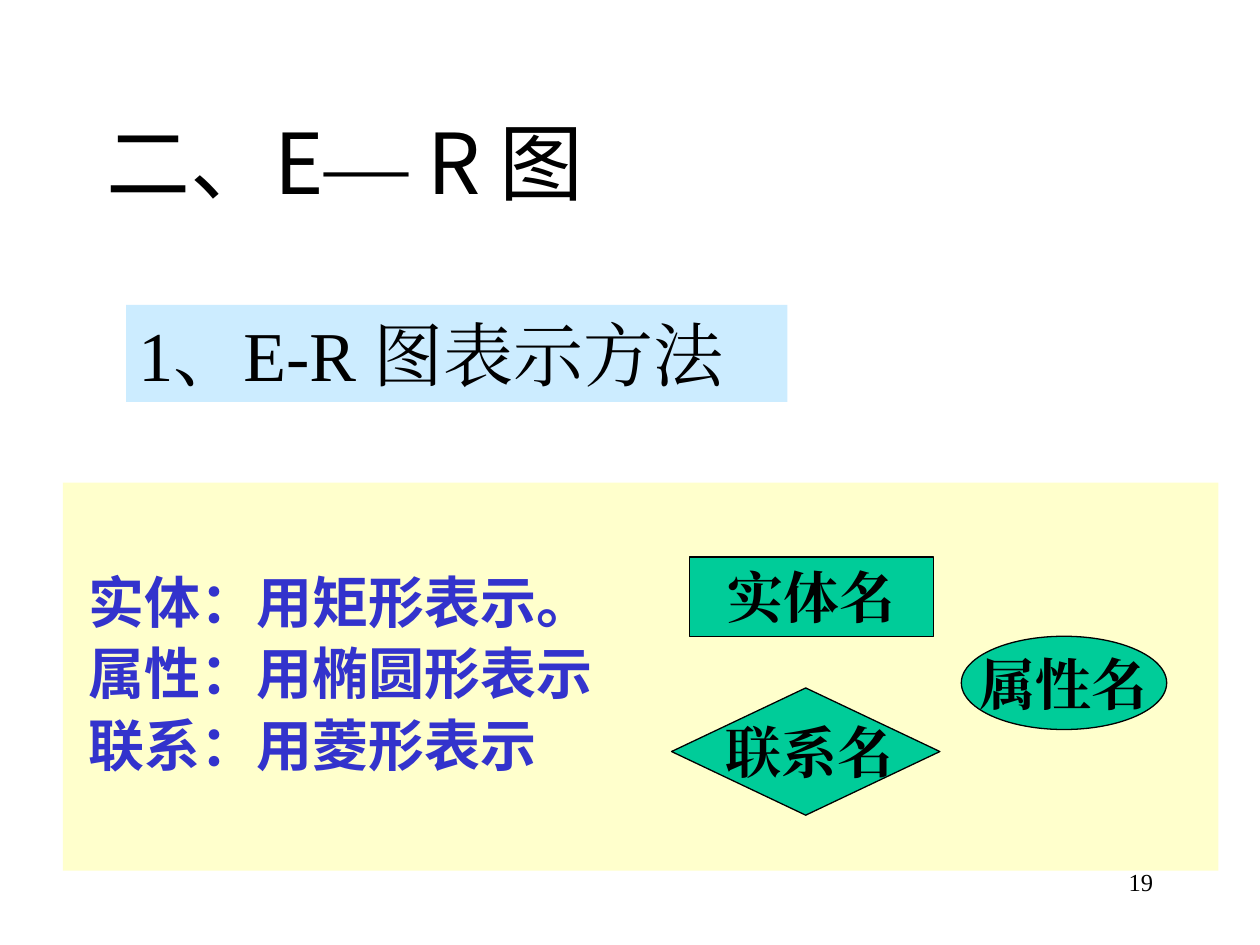
from dataclasses import dataclass, field
from typing import Optional

from lxml.etree import SubElement
from pptx import Presentation
from pptx.dml.color import RGBColor
from pptx.enum.shapes import MSO_SHAPE
from pptx.enum.text import MSO_ANCHOR, PP_ALIGN
from pptx.oxml.ns import qn
from pptx.util import Emu, Pt

EMU_PER_PX = 9144
SERIF = "Times New Roman"
SANS = "Noto Sans CJK SC"
BLACK, BLUE, GREEN = "000000", "3333CC", "00CC99"


@dataclass
class Run:
    text: str
    font: str = SERIF


@dataclass
class Block:
    left: int
    top: int
    width: int
    height: int
    paragraphs: list[list[Run]]
    size: int
    color: str = BLACK
    bold: bool = False
    geometry: MSO_SHAPE = MSO_SHAPE.RECTANGLE
    fill: Optional[str] = None
    line: Optional[str] = None
    frame_format: dict = field(default_factory=dict)
    paragraph_format: dict = field(default_factory=dict)


def px(length: int) -> Emu:
    return Emu(length * EMU_PER_PX)


def rgb(color: str) -> RGBColor:
    return RGBColor.from_string(color)


def apply_format(target, values: dict) -> None:
    for name, value in values.items():
        setattr(target, name, value)


def add_run(paragraph, part: Run, block: Block) -> None:
    run = paragraph.add_run()
    run.text = part.text
    apply_format(run.font, {"name": part.font, "size": Pt(block.size), "bold": block.bold})
    run.font.color.rgb = rgb(block.color)
    east_asian = SubElement(run.font._element, qn("a:ea"))
    east_asian.set("typeface", part.font)


def draw_block(slide, block: Block) -> None:
    box = tuple(px(length) for length in (block.left, block.top, block.width, block.height))
    if block.fill:
        shape = slide.shapes.add_shape(block.geometry, *box)
        shape.shadow.inherit = False
        shape.fill.solid()
        shape.fill.fore_color.rgb = rgb(block.fill)
        if block.line:
            shape.line.color.rgb = rgb(block.line)
            shape.line.width = Pt(0.75)
        else:
            shape.line.fill.background()
    else:
        shape = slide.shapes.add_textbox(*box)
    frame = shape.text_frame
    apply_format(frame, {"word_wrap": True, "vertical_anchor": MSO_ANCHOR.TOP, **block.frame_format})
    for index, parts in enumerate(block.paragraphs):
        paragraph = frame.add_paragraph() if index else frame.paragraphs[0]
        apply_format(paragraph, {"alignment": PP_ALIGN.LEFT, **block.paragraph_format})
        for part in parts:
            add_run(paragraph, part, block)


def symbol(left: int, top: int, width: int, height: int, label: str,
           geometry: MSO_SHAPE, left_margin: int = 10) -> Block:
    return Block(
        left, top, width, height, [[Run(label)]], 32, bold=True,
        geometry=geometry, fill=GREEN, line=BLACK,
        frame_format={"word_wrap": False, "vertical_anchor": MSO_ANCHOR.MIDDLE,
                      "margin_left": px(left_margin)},
        paragraph_format={"alignment": PP_ALIGN.CENTER},
    )


RULES = ["实体：用矩形表示。", "属性：用椭圆形表示", "联系：用菱形表示"]

BLOCKS = [
    Block(717, 683, 208, 50, [[Run("19")]], 14,
          paragraph_format={"alignment": PP_ALIGN.RIGHT}),
    Block(50, 383, 917, 308, [[Run(rule, SANS)] for rule in RULES], 32, BLUE, True,
          fill="FFFFCC",
          frame_format={"margin_left": px(20), "margin_top": px(64)},
          paragraph_format={"line_spacing": Pt(40.8)}),
    symbol(547, 442, 194, 63, "实体名", MSO_SHAPE.RECTANGLE),
    symbol(763, 505, 163, 74, "属性名", MSO_SHAPE.OVAL),
    symbol(533, 546, 213, 101, "联系名", MSO_SHAPE.DIAMOND, left_margin=16),
    Block(75, 83, 483, 90, [[Run("二、E", SANS), Run("—"), Run(" R 图", SANS)]], 48),
    Block(100, 242, 525, 77, [[Run("1、E-R 图表示方法")]], 40, fill="CCECFF"),
]


def main() -> None:
    presentation = Presentation()
    apply_format(presentation, {"slide_width": px(1000), "slide_height": px(750)})
    slide = presentation.slides.add_slide(presentation.slide_layouts[6])
    for block in BLOCKS:
        draw_block(slide, block)
    presentation.save("out.pptx")


if __name__ == "__main__":
    main()
